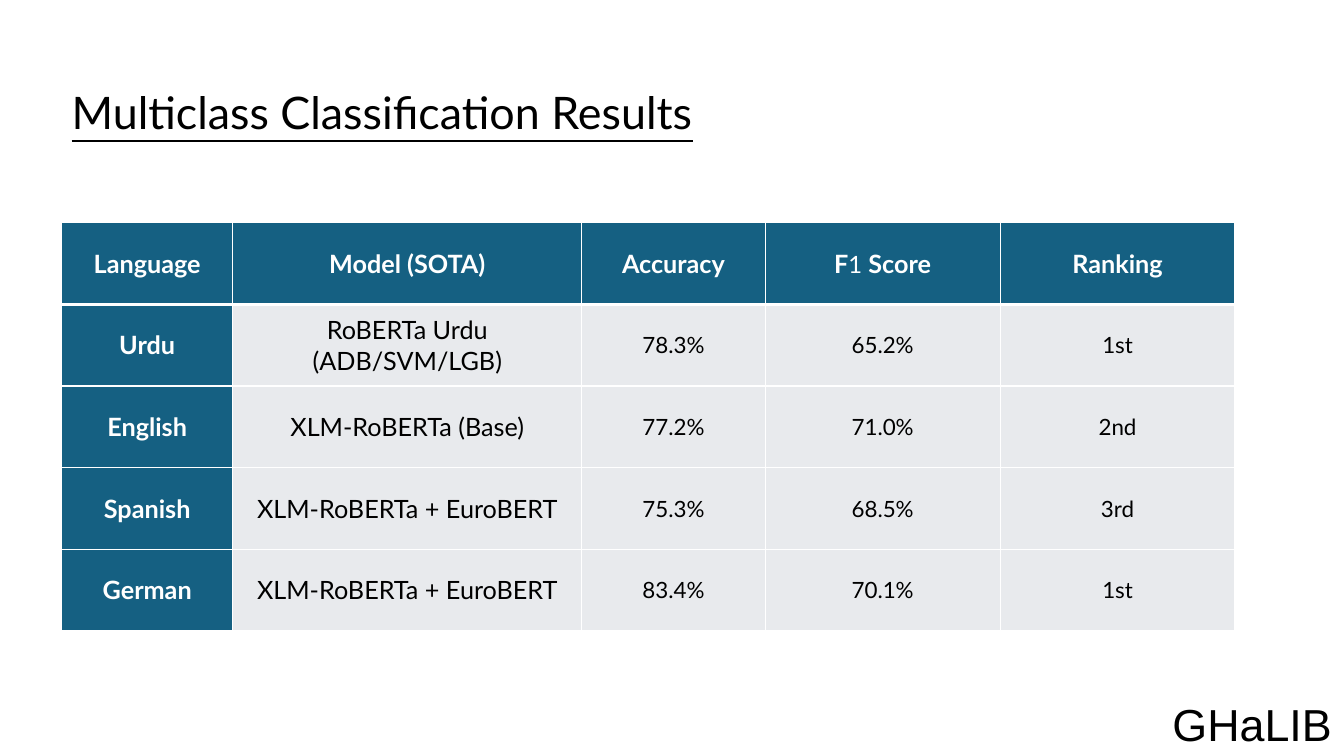
from dataclasses import dataclass

from lxml.etree import SubElement
from pptx import Presentation
from pptx.dml.color import RGBColor
from pptx.enum.text import MSO_ANCHOR, MSO_AUTO_SIZE, PP_ALIGN
from pptx.oxml import parse_xml
from pptx.oxml.ns import nsdecls, qn
from pptx.util import Inches, Pt


@dataclass(frozen=True)
class Theme:
    """Colours, fonts, type sizes and rule widths of the slide."""
    ink: str = "000000"
    white: str = "FFFFFF"
    heading_fill: str = "156082"
    body_fill: str = "E8EAED"
    font: str = "Lato"
    tag_font: str = "Arial"
    title_size: int = 32
    label_size: int = 18
    digit_size: int = 17
    value_size: int = 16
    rule: int = 1
    header_rule: int = 3


THEME = Theme()
COLUMN_WIDTHS = (1.7, 3.46, 1.82, 2.33, 2.33)
ROW_HEIGHT = 0.81
RESULTS = (
    ("Language", "Model (SOTA)", "Accuracy", "F1 Score", "Ranking"),
    ("Urdu", "RoBERTa Urdu (ADB/SVM/LGB)", "78.3%", "65.2%", "1st"),
    ("English", "XLM-RoBERTa (Base)", "77.2%", "71.0%", "2nd"),
    ("Spanish", "XLM-RoBERTa + EuroBERT", "75.3%", "68.5%", "3rd"),
    ("German", "XLM-RoBERTa + EuroBERT", "83.4%", "70.1%", "1st"),
)


def write_text(frame, text, size, color=THEME.ink, font=THEME.font,
               bold=False, underline=False, align=PP_ALIGN.LEFT):
    """Append a formatted run to the first paragraph of a text frame."""
    paragraph = frame.paragraphs[0]
    paragraph.alignment = align
    run = paragraph.add_run()
    run.text = text
    run.font.name = font
    run.font.size = Pt(size)
    run.font.bold = bold
    run.font.underline = underline
    run.font.color.rgb = RGBColor.from_string(color)


def add_title(slide, text):
    """Place and write the slide title."""
    title = slide.shapes.title
    title.left, title.top = Inches(0.61), Inches(0.79)
    title.width, title.height = Inches(7.19), Inches(0.64)
    frame = title.text_frame
    frame.auto_size = MSO_AUTO_SIZE.NONE
    frame.vertical_anchor = MSO_ANCHOR.TOP
    write_text(frame, text, THEME.title_size, underline=True)


def add_team_tag(slide, text):
    """Add the team name in the bottom right corner."""
    tag = slide.shapes.add_textbox(Inches(11.53), Inches(6.86), Inches(1.8), Inches(0.64))
    tag.text_frame.word_wrap = False
    write_text(tag.text_frame, text, THEME.title_size, font=THEME.tag_font)


def set_borders(cell, **widths):
    """Draw white borders, given in points by side in the order L, R, T, B."""
    properties = cell._tc.get_or_add_tcPr()
    for position, (side, width) in enumerate(widths.items()):
        line = parse_xml(f'<a:ln{side} {nsdecls("a")} w="{Pt(width)}"/>')
        fill = SubElement(line, qn("a:solidFill"))
        SubElement(fill, qn("a:srgbClr"), val=THEME.white)
        properties.insert(position, line)


def fill_cell(cell, text, row, column):
    """Write and style one cell by its place in the table."""
    heading = row == 0 or column == 0
    cell.vertical_anchor = MSO_ANCHOR.MIDDLE
    cell.fill.solid()
    cell.fill.fore_color.rgb = RGBColor.from_string(
        THEME.heading_fill if heading else THEME.body_fill)
    set_borders(cell, L=THEME.rule, R=THEME.rule,
                T=THEME.header_rule if row == 1 else THEME.rule,
                B=THEME.header_rule if row == 0 else THEME.rule)
    size = THEME.label_size if heading or column == 1 else THEME.value_size
    style = {"color": THEME.white if heading else THEME.ink, "align": PP_ALIGN.CENTER}
    if text == "F1 Score":
        write_text(cell.text_frame, "F", size, bold=True, **style)
        write_text(cell.text_frame, "1", THEME.digit_size, **style)
        write_text(cell.text_frame, " Score", size, bold=True, **style)
    else:
        write_text(cell.text_frame, text, size, bold=heading, **style)


def add_results_table(slide):
    """Add the table of results by language."""
    table = slide.shapes.add_table(
        len(RESULTS), len(COLUMN_WIDTHS), Inches(0.61), Inches(2.21),
        Inches(sum(COLUMN_WIDTHS)), Inches(ROW_HEIGHT * len(RESULTS))).table
    table.first_col = True
    table.horz_banding = False
    for column, width in zip(table.columns, COLUMN_WIDTHS):
        column.width = Inches(width)
    for row, texts in enumerate(RESULTS):
        table.rows[row].height = Inches(ROW_HEIGHT)
        for column, text in enumerate(texts):
            fill_cell(table.cell(row, column), text, row, column)


def main():
    """Build and save the slide."""
    deck = Presentation()
    deck.slide_width, deck.slide_height = Inches(13.33), Inches(7.5)
    slide = deck.slides.add_slide(deck.slide_layouts[5])
    add_team_tag(slide, "GHaLIB")
    add_title(slide, "Multiclass Classification Results")
    add_results_table(slide)
    deck.save("out.pptx")


if __name__ == "__main__":
    main()
